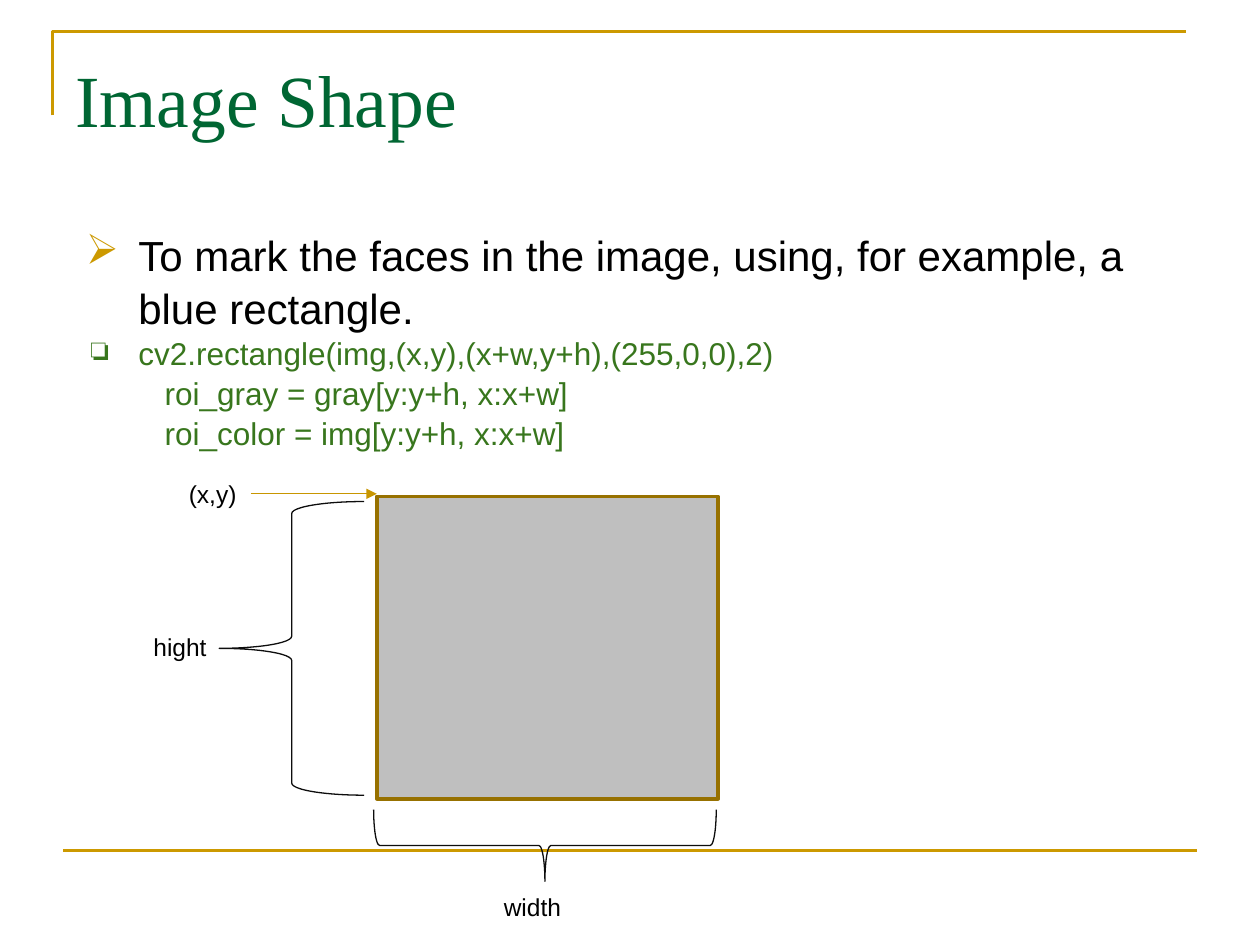
from lxml import etree
from pptx import Presentation
from pptx import util as u
from pptx.dml.color import RGBColor
from pptx.enum import shapes, text
from pptx.oxml.ns import qn

GOLD = "CC9900"
GREEN = "38761D"
BLACK = "000000"


def color(value):
    return RGBColor.from_string(value)


def style_line(line, value, width):
    line.color.rgb = color(value)
    line.width = u.Pt(width)


def style_text(paragraph, size, value, font="Arial"):
    paragraph.font.size = u.Pt(size)
    paragraph.font.name = font
    paragraph.font.color.rgb = color(value)


def add_text(slide, content, left, top, width, height, size, value=BLACK, font="Arial", wrap=False):
    box = slide.shapes.add_textbox(u.Pt(left), u.Pt(top), u.Pt(width), u.Pt(height))
    frame = box.text_frame
    frame.word_wrap = wrap
    frame.text = content
    style_text(frame.paragraphs[0], size, value, font)
    return frame


def add_line(slide, start, end, value, width, arrow=False):
    line = slide.shapes.add_connector(
        shapes.MSO_CONNECTOR.STRAIGHT, *[u.Pt(length) for length in (*start, *end)])
    style_line(line.line, value, width)
    properties = line._element.spPr
    if arrow:
        etree.SubElement(properties.find(qn("a:ln")), qn("a:tailEnd"), type="triangle")
    etree.SubElement(properties, qn("a:effectLst"))


def add_corner(slide, points):
    builder = slide.shapes.build_freeform(*[u.Pt(length) for length in points[0]])
    builder.add_line_segments([(u.Pt(x), u.Pt(y)) for x, y in points[1:]], close=False)
    corner = builder.convert_to_shape()
    corner.shadow.inherit = False
    corner.fill.background()
    style_line(corner.line, GOLD, 1.5)


def add_shape(slide, kind, left, top, width, height, line, line_width, fill=None, rotation=0):
    shape = slide.shapes.add_shape(kind, u.Pt(left), u.Pt(top), u.Pt(width), u.Pt(height))
    shape.shadow.inherit = False
    shape.rotation = rotation
    if fill:
        shape.fill.solid()
        shape.fill.fore_color.rgb = color(fill)
    else:
        shape.fill.background()
    style_line(shape.line, line, line_width)


def set_indent(paragraph, margin, hanging=0, bullet=None, bullet_color=None):
    properties = paragraph._p.get_or_add_pPr()
    properties.set("marL", str(u.Pt(margin)))
    properties.set("indent", str(u.Pt(-hanging)))
    if bullet:
        holder = etree.Element(qn("a:buClr"))
        etree.SubElement(holder, qn("a:srgbClr"), val=bullet_color)
        character = etree.Element(qn("a:buChar"), char=bullet)
        position = [child.tag for child in properties].index(qn("a:defRPr"))
        properties.insert(position, holder)
        properties.insert(position + 1, character)


def add_body(slide):
    items = [
        ("To mark the faces in the image, using, for example, a blue rectangle.",
         24, BLACK, (36, 30, "➢", GOLD)),
        ("cv2.rectangle(img,(x,y),(x+w,y+h),(255,0,0),2)", 18, GREEN, (36, 27, "❏", GREEN)),
        ("roi_gray = gray[y:y+h, x:x+w]", 18, GREEN, (51,)),
        ("roi_color = img[y:y+h, x:x+w]", 18, GREEN, (51,)),
    ]
    box = slide.shapes.add_textbox(u.Pt(36), u.Pt(126), u.Pt(648), u.Pt(356.4))
    frame = box.text_frame
    frame.word_wrap = True
    for index, (content, size, value, indent) in enumerate(items):
        paragraph = frame.add_paragraph() if index else frame.paragraphs[0]
        paragraph.text = content
        paragraph.line_spacing = 1.05
        style_text(paragraph, size, value)
        set_indent(paragraph, *indent)


def add_diagram(slide):
    brace = shapes.MSO_SHAPE.LEFT_BRACE
    add_shape(slide, shapes.MSO_SHAPE.RECTANGLE, 215.3, 283.7, 195.1, 172.8, "977100", 2, "BFBFBF")
    add_shape(slide, brace, 125.3, 286.6, 82.8, 167.8, "0D0D0D", 0.75)
    add_shape(slide, brace, 290.9, 385.2, 41, 195.8, "0D0D0D", 0.75, rotation=270)
    labels = [("hight", 80.6, 357.8, 45.4), ("width", 280.8, 506.2, 47.5), ("(x,y)", 100.8, 270, 41.8)]
    for content, left, top, width in labels:
        frame = add_text(slide, content, left, top, width, 24.5, 14)
        frame.auto_size = text.MSO_AUTO_SIZE.SHAPE_TO_FIT_TEXT
    add_line(slide, (143.3, 282.2), (215.3, 282.2), "C89600", 0.75, arrow=True)


def main():
    presentation = Presentation()
    presentation.slide_width = u.Pt(720)
    presentation.slide_height = u.Pt(540)
    slide = presentation.slides.add_slide(presentation.slide_layouts[6])
    add_corner(slide, [(30, 66), (30, 18), (678, 18)])
    add_line(slide, (36, 486), (684, 486), GOLD, 1.5)
    title = add_text(slide, "Image Shape", 36, 21.6, 648, 90, 42, "006633", "Times New Roman", wrap=True)
    title.margin_top = u.Pt(9)
    add_body(slide)
    add_diagram(slide)
    presentation.save("out.pptx")


if __name__ == "__main__":
    main()
